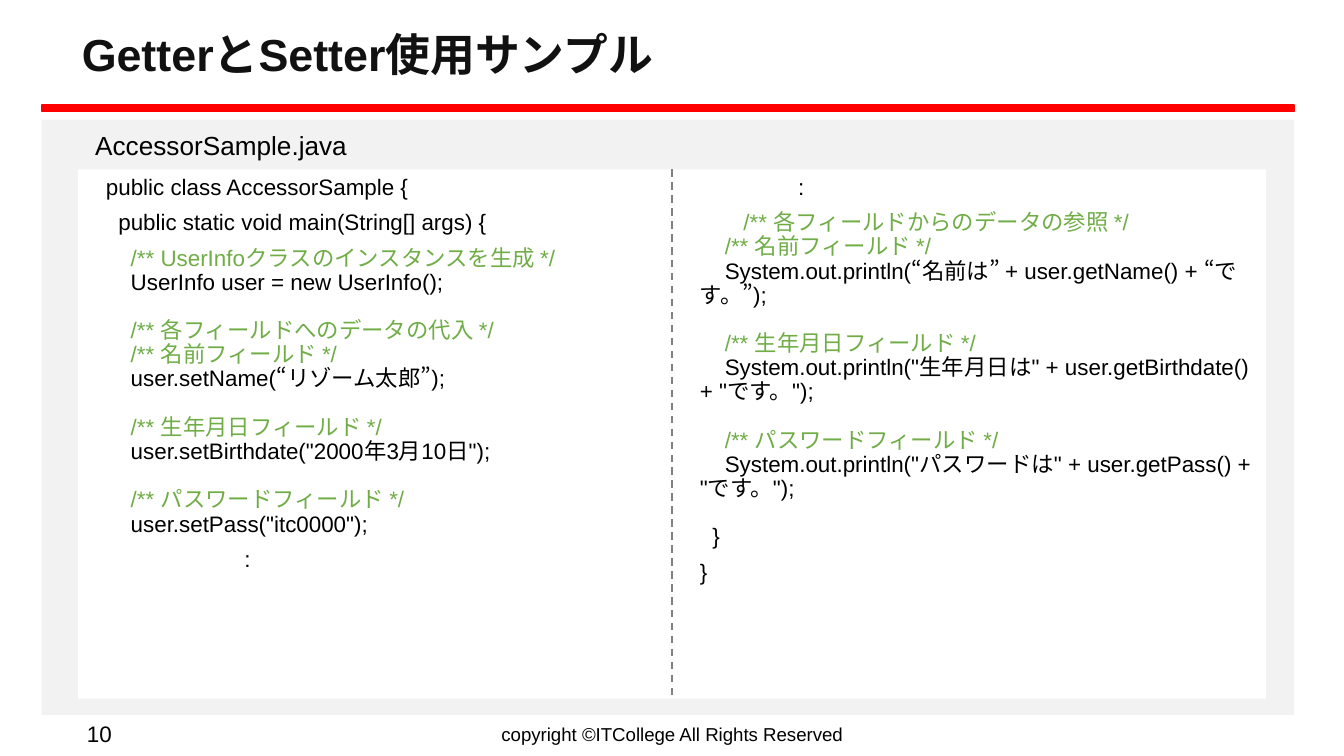
from lxml import etree
from pptx import Presentation
from pptx.dml.color import RGBColor
from pptx.enum import dml, shapes, text
from pptx.oxml import ns
from pptx.util import Inches, Pt

COLORS = {
    "panel": "F2F2F2",
    "rule": "FF0000",
    "title": "111111",
    "text": "000000",
    "comment": "70AD47",
    "paper": "FFFFFF",
    "divider": "808080",
}
FONT = "Arial"
ASIAN_FONT = "Noto Sans CJK JP"
CODE_SIZE = 12
INDENT = 0.11
COLON_INDENTS = {"left": 1.14, "right": 0.84}

LEFT_CODE = [
    ["public class AccessorSample {"],
    ["  public static void main(String[] args) {"],
    [
        "    /** UserInfoクラスのインスタンスを生成 */",
        "    UserInfo user = new UserInfo();",
        "",
        "    /** 各フィールドへのデータの代入 */",
        "    /** 名前フィールド */",
        "    user.setName(“リゾーム太郎”);",
        "",
        "    /** 生年月日フィールド */",
        '    user.setBirthdate("2000年3月10日");',
        "",
        "    /** パスワードフィールド */",
        '    user.setPass("itc0000");',
    ],
    [":"],
]
RIGHT_CODE = [
    [":"],
    [
        "       /** 各フィールドからのデータの参照 */",
        "    /** 名前フィールド */",
        "    System.out.println(“名前は” + user.getName() + “です。”);",
        "",
        "    /** 生年月日フィールド */",
        '    System.out.println("生年月日は" + user.getBirthdate() + "です。");',
        "",
        "    /** パスワードフィールド */",
        '    System.out.println("パスワードは" + user.getPass() + "です。");',
        "",
        "  }",
    ],
    ["}"],
]


def rgb(name):
    """Return the named colour."""
    return RGBColor.from_string(COLORS[name])


def apply(target, values):
    """Set each attribute of the target from a dict."""
    for name, value in values.items():
        setattr(target, name, value)


def add_run(paragraph, content, size, color="text", bold=False):
    """Add a run in the slide's Latin and East Asian fonts."""
    run = paragraph.add_run()
    run.text = content
    apply(run.font, {"name": FONT, "size": Pt(size), "bold": bold})
    run.font.color.rgb = rgb(color)
    properties = run._r.get_or_add_rPr()
    properties.set("lang", "ja-JP")
    etree.SubElement(properties, ns.qn("a:ea"), typeface=ASIAN_FONT)


def add_break(paragraph):
    """Add a line break as tall as a line of code."""
    paragraph.add_line_break()
    line_break = paragraph._p.findall(ns.qn("a:br"))[-1]
    properties = etree.SubElement(line_break, ns.qn("a:rPr"), sz=str(CODE_SIZE * 100))
    etree.SubElement(properties, ns.qn("a:latin"), typeface=FONT)


def indent(paragraph, inches):
    """Set the left margin of a paragraph."""
    paragraph._p.get_or_add_pPr().set("marL", str(Inches(inches)))


def add_rectangle(slide, box, color):
    """Add a plain filled rectangle."""
    shape = slide.shapes.add_shape(shapes.MSO_SHAPE.RECTANGLE, *map(Inches, box))
    shape.shadow.inherit = False
    shape.fill.solid()
    shape.fill.fore_color.rgb = rgb(color)
    shape.line.fill.background()
    return shape


def add_label(slide, box, content, size, color="text", bold=False,
              anchor=text.MSO_ANCHOR.MIDDLE, align=text.PP_ALIGN.LEFT,
              spacing=1.0, margin=0):
    """Add a text box holding one line."""
    frame = slide.shapes.add_textbox(*map(Inches, box)).text_frame
    apply(frame, {"word_wrap": True, "vertical_anchor": anchor})
    paragraph = frame.paragraphs[0]
    apply(paragraph, {"alignment": align, "line_spacing": spacing})
    indent(paragraph, margin)
    add_run(paragraph, content, size, color, bold)


def add_code(slide, box, blocks, colon_indent):
    """Add a white box of code with green comments."""
    shape = add_rectangle(slide, box, "paper")
    frame = shape.text_frame
    apply(frame, {"word_wrap": True, "vertical_anchor": text.MSO_ANCHOR.TOP})
    for number, lines in enumerate(blocks):
        paragraph = frame.add_paragraph() if number else frame.paragraphs[0]
        apply(paragraph, {
            "alignment": text.PP_ALIGN.LEFT,
            "line_spacing": 0.9,
            "space_before": Pt(6 if number else 0),
        })
        indent(paragraph, colon_indent if lines == [":"] else INDENT)
        for position, line in enumerate(lines):
            if position:
                add_break(paragraph)
            if line:
                is_comment = line.lstrip().startswith("/**")
                add_run(paragraph, line, CODE_SIZE, "comment" if is_comment else "text")


def add_divider(slide, x, top, bottom):
    """Add the dashed vertical line between the code columns."""
    line = slide.shapes.add_connector(
        shapes.MSO_CONNECTOR.STRAIGHT, Inches(x), Inches(top), Inches(x), Inches(bottom))
    line.line.color.rgb = rgb("divider")
    apply(line.line, {"width": Pt(1), "dash_style": dml.MSO_LINE.DASH})
    etree.SubElement(line._element.spPr, ns.qn("a:effectLst"))


def add_header(slide, box):
    """Add the title and the red rule below it."""
    left, top, width, height = box
    rule = add_rectangle(slide, (left, top + height - 0.05, width, 0.05), "rule")
    rule.line.color.rgb = rgb("rule")
    rule.line.width = Pt(1)
    add_label(slide, (left + 0.2, top, 8.99, 0.59), "GetterとSetter使用サンプル", 24,
              "title", True, spacing=0.9)


def add_listing(slide, box):
    """Add the grey panel with its file name and two code columns."""
    left, top, width, height = box
    add_rectangle(slide, box, "panel")
    add_label(slide, (left + 0.19, top + 0.05, 8.99, 0.39), "AccessorSample.java", 14,
              anchor=text.MSO_ANCHOR.TOP, spacing=0.9, margin=INDENT)
    column, code_top, code_height = 4.42, top + 0.37, 3.94
    code_left = left + 0.27
    middle = code_left + column
    add_code(slide, (code_left, code_top, column, code_height), LEFT_CODE, COLON_INDENTS["left"])
    add_code(slide, (middle, code_top, column, code_height), RIGHT_CODE, COLON_INDENTS["right"])
    add_divider(slide, middle, code_top, code_top + code_height)


def add_footer(slide, box):
    """Add the page number and the copyright line."""
    left, top, width, height = box
    add_label(slide, (left, top, 0.69, height), "10", 12, align=text.PP_ALIGN.RIGHT)
    add_label(slide, (left + 3.07, top, 3.38, height),
              "copyright ©ITCollege All Rights Reserved", 10, align=text.PP_ALIGN.CENTER)


def main():
    """Build and save the slide."""
    presentation = Presentation()
    apply(presentation, {"slide_width": Inches(10), "slide_height": Inches(10 * 9 / 16)})
    slide = presentation.slides.add_slide(presentation.slide_layouts[6])
    add_header(slide, (0.31, 0.13, 9.32, 0.7))
    add_listing(slide, (0.31, 0.89, 9.32, 4.43))
    add_footer(slide, (0.24, 5.32, 9.4, 0.28))
    presentation.save("out.pptx")


if __name__ == "__main__":
    main()
